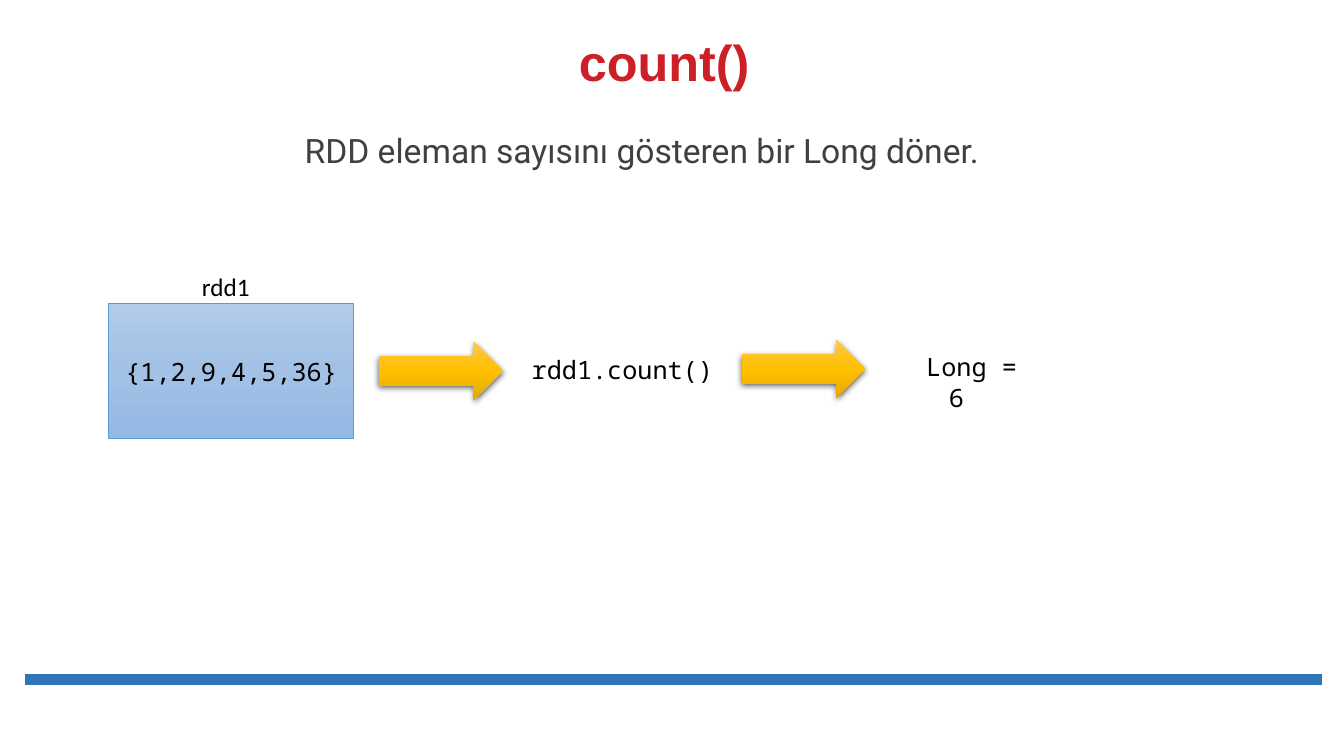
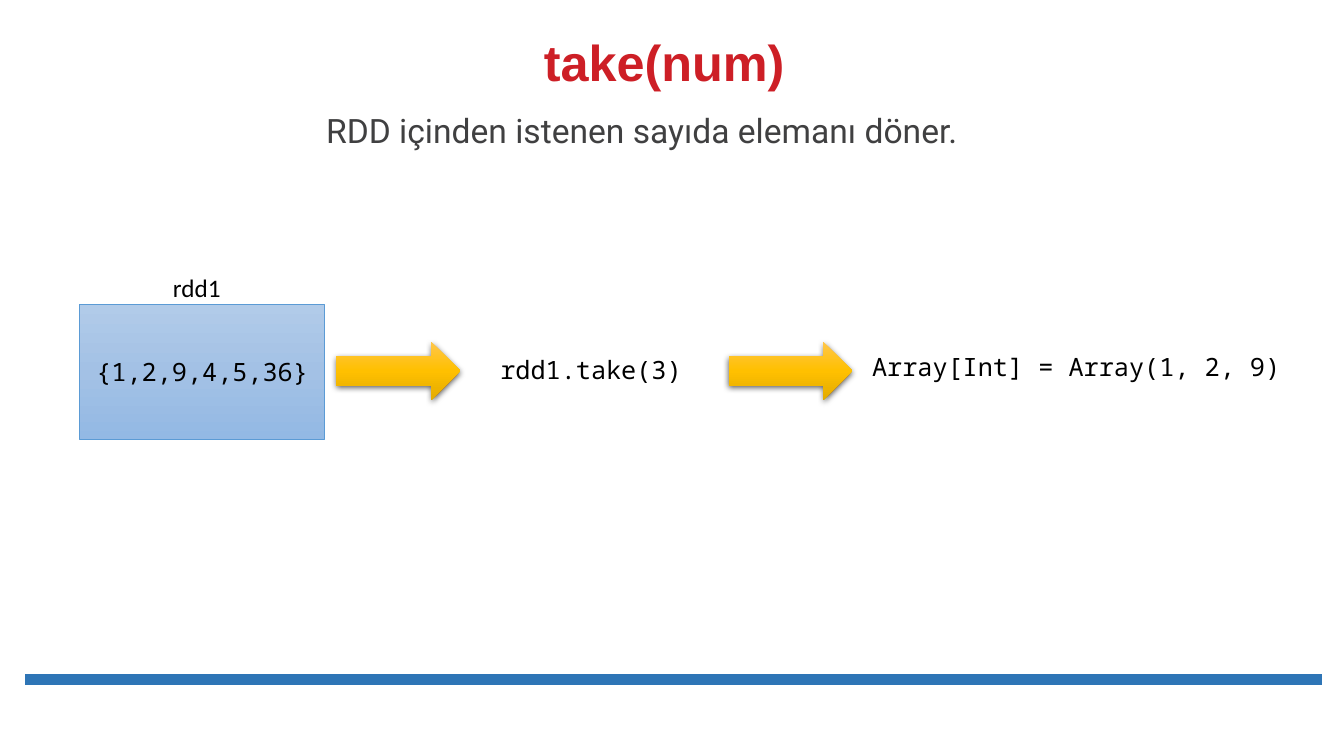
from dataclasses import dataclass

from lxml import etree
from pptx import Presentation
from pptx.dml.color import RGBColor
from pptx.enum.shapes import MSO_CONNECTOR, MSO_SHAPE
from pptx.enum.text import MSO_ANCHOR, MSO_AUTO_SIZE, PP_ALIGN
from pptx.oxml.ns import qn
from pptx.shapes.autoshape import Shape
from pptx.slide import Slide
from pptx.text.text import TextFrame
from pptx.util import Cm, Pt

RECT, ARROW = MSO_SHAPE.RECTANGLE, MSO_SHAPE.RIGHT_ARROW
STRAIGHT = MSO_CONNECTOR.STRAIGHT
LEFT, CENTER = PP_ALIGN.LEFT, PP_ALIGN.CENTER
TOP, MIDDLE, BOTTOM = MSO_ANCHOR.TOP, MSO_ANCHOR.MIDDLE, MSO_ANCHOR.BOTTOM
FIT, FIXED = MSO_AUTO_SIZE.SHAPE_TO_FIT_TEXT, MSO_AUTO_SIZE.NONE


# Theme
@dataclass(frozen=True)
class Font:
    name: str
    size: int
    color: str
    bold: bool = False


@dataclass(frozen=True)
class Theme:
    title: Font = Font("Arial", 36, "CD1F26", True)
    body: Font = Font("Roboto", 24, "404041")
    code: Font = Font("Noto Sans Mono", 18, "000000")
    label: Font = Font("Calibri", 18, "000000")
    bar: str = "2E75B6"
    edge: str = "5B9BD5"
    shadow: str = "000000"
    blue: tuple[str, ...] = ("B1CBE9", "A3C1E5", "93B9E4")
    gold: tuple[str, ...] = ("FFC64B", "FFC000", "E3AB00")


THEME = Theme()
LINE_H = 1.02  # height of a one-line text box
CHAR = 0.38    # width of one code character


# Content types, lengths in centimetres
@dataclass(frozen=True)
class Spot:
    x: float
    y: float


@dataclass(frozen=True)
class Code:
    text: str
    x: float
    y: float
    width: float
    indent: int = 0  # first-line indent in characters


@dataclass(frozen=True)
class Page:
    title: str
    body: str
    body_h: float
    spacing: float
    data: Spot
    arrows: tuple[Spot, ...]
    codes: tuple[Code, ...]


# Helpers
def write(frame: TextFrame, text: str, font: Font, align: PP_ALIGN = CENTER,
          anchor: MSO_ANCHOR = TOP, spacing: float = 1.0) -> None:
    frame.text = text
    frame.vertical_anchor = anchor
    para = frame.paragraphs[0]
    para.alignment = align
    para.line_spacing = spacing
    para.space_before = Pt(0)
    for run in para.runs:
        run.font.name = font.name
        run.font.size = Pt(font.size)
        run.font.bold = font.bold
        run.font.color.rgb = RGBColor.from_string(font.color)


def place(shape: Shape, x: float, y: float, width: float, height: float) -> None:
    shape.left, shape.top = Cm(x), Cm(y)
    shape.width, shape.height = Cm(width), Cm(height)


def shade(shape: Shape, colors: tuple[str, ...]) -> None:
    """Fill from top to bottom with evenly spaced colours."""
    shape.fill.gradient()
    shape.fill.gradient_angle = 270
    stops = shape.element.spPr.find(qn("a:gradFill")).find(qn("a:gsLst"))
    for stop in list(stops):
        stops.remove(stop)
    step = 100000 // (len(colors) - 1)
    for i, color in enumerate(colors):
        stop = etree.SubElement(stops, qn("a:gs"), pos=str(i * step))
        etree.SubElement(stop, qn("a:srgbClr"), val=color)


def drop(shape: Shape) -> None:
    """Give the shape a soft shadow below it."""
    shape.shadow.inherit = False
    effects = shape.element.spPr.find(qn("a:effectLst"))
    outer = etree.SubElement(
        effects, qn("a:outerShdw"), blurRad=str(Pt(4.5)), dist=str(Pt(1.5)),
        dir="5400000", algn="ctr", rotWithShape="0")
    color = etree.SubElement(outer, qn("a:srgbClr"), val=THEME.shadow)
    etree.SubElement(color, qn("a:alpha"), val="63000")


# Slide parts
def add_bar(slide: Slide) -> None:
    bar = slide.shapes.add_connector(
        STRAIGHT, Cm(0.64), Cm(17.12), Cm(33.32), Cm(17.12))
    bar.line.width = Pt(8)
    bar.line.color.rgb = RGBColor.from_string(THEME.bar)
    etree.SubElement(bar.element.spPr, qn("a:effectLst"))


def add_heads(slide: Slide, page: Page) -> None:
    title, body = slide.shapes.title, slide.placeholders[1]
    place(title, 4.04, 0.58, 25.4, 1.88)
    write(title.text_frame, page.title, THEME.title, anchor=BOTTOM, spacing=0.9)
    title.text_frame.auto_size = FIXED
    place(body, 2.41, 2.64, 27.53, page.body_h)
    write(body.text_frame, page.body, THEME.body, spacing=page.spacing)
    body.text_frame.auto_size = FIT


def add_arrow(slide: Slide, spot: Spot) -> None:
    arrow = slide.shapes.add_shape(
        ARROW, Cm(spot.x), Cm(spot.y), Cm(3.12), Cm(1.47))
    shade(arrow, THEME.gold)
    arrow.line.fill.background()
    drop(arrow)


def add_data(slide: Slide, spot: Spot) -> None:
    group = slide.shapes.add_group_shape()
    box = group.shapes.add_shape(
        RECT, Cm(spot.x), Cm(spot.y), Cm(6.17), Cm(3.4))
    shade(box, THEME.blue)
    box.line.color.rgb = RGBColor.from_string(THEME.edge)
    box.line.width = Pt(0.5)
    box.shadow.inherit = False
    write(box.text_frame, "{1,2,9,4,5,36}", THEME.code, anchor=MIDDLE)
    label = group.shapes.add_textbox(
        Cm(spot.x + 2.1), Cm(spot.y - 0.94), Cm(1.73), Cm(LINE_H))
    write(label.text_frame, "rdd1", THEME.label, align=LEFT)
    label.text_frame.word_wrap = False
    label.text_frame.auto_size = FIT


def add_code(slide: Slide, code: Code) -> None:
    box = slide.shapes.add_textbox(
        Cm(code.x), Cm(code.y), Cm(code.width), Cm(LINE_H))
    frame = box.text_frame
    frame.word_wrap = True
    write(frame, code.text, THEME.code)
    frame.auto_size = FIT
    if code.indent:
        props = frame.paragraphs[0]._p.get_or_add_pPr()
        props.set("marL", "0")
        props.set("indent", str(Cm(code.indent * CHAR)))


# Content
PAGES = (
    Page(
        "count()", "RDD eleman sayısını gösteren bir Long döner.", 1.6, 1.5,
        Spot(2.74, 7.65), (Spot(9.55, 8.61), Spot(18.69, 8.56)),
        (Code("rdd1.count()", 12.27, 8.81, 6.83),
         Code("Long = 6", 22.05, 8.74, 4.11, 2)),
    ),
    Page(
        "take(num)", "RDD içinden istenen sayıda elemanı döner.", 1.27, 1.0,
        Spot(2.01, 7.67), (Spot(8.48, 8.61), Spot(18.36, 8.61)),
        (Code("rdd1.take(3)", 11.91, 8.81, 5.97),
         Code("Array[Int] = Array(1, 2, 9)", 21.29, 8.74, 11.28, 1)),
    ),
)

# Build
deck = Presentation()
deck.slide_width, deck.slide_height = Cm(33.87), Cm(19.05)
for page in PAGES:
    slide = deck.slides.add_slide(deck.slide_layouts[0])
    add_bar(slide)
    add_heads(slide, page)
    for spot in page.arrows:
        add_arrow(slide, spot)
    add_data(slide, page.data)
    for code in page.codes:
        add_code(slide, code)
deck.save("out.pptx")
